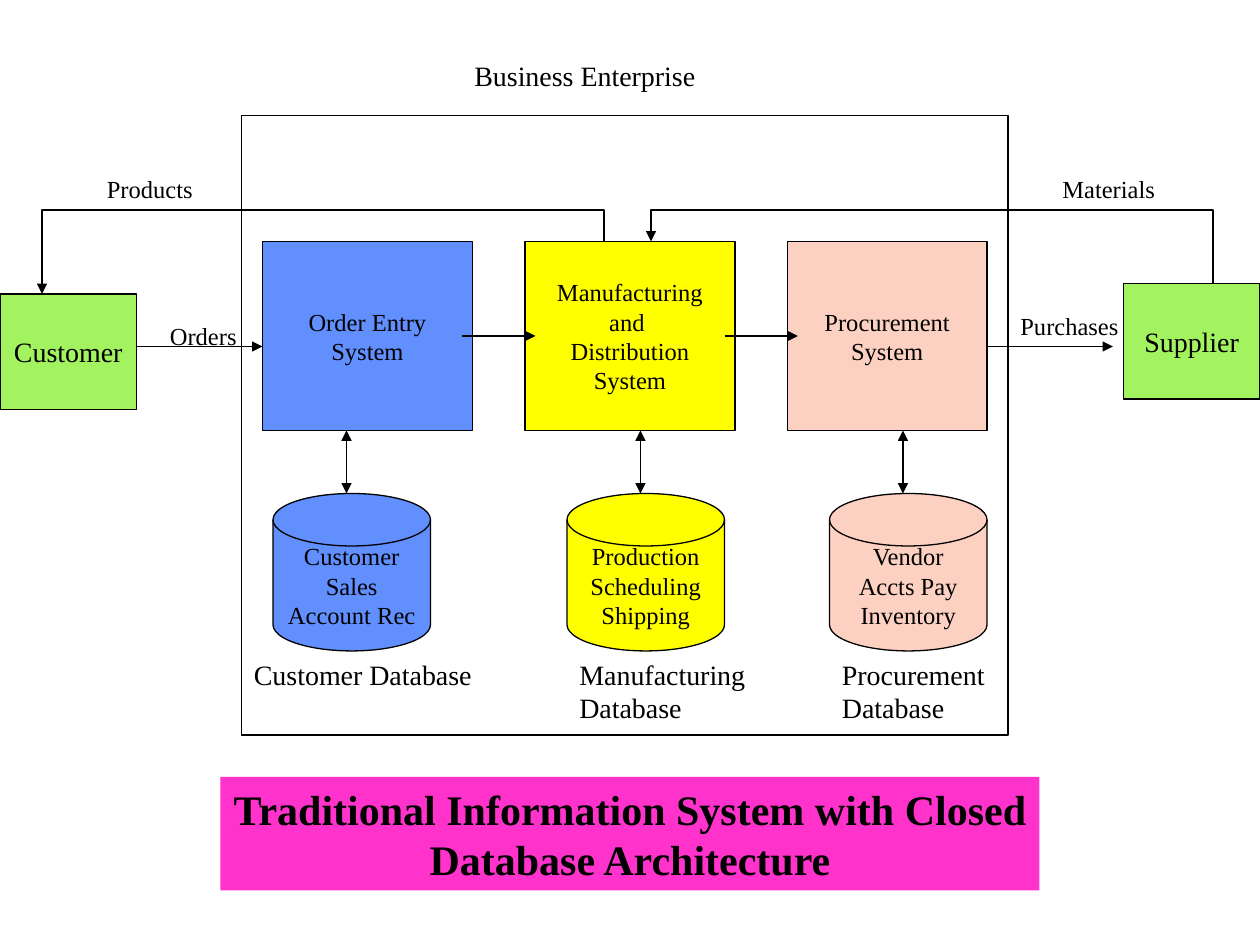
from lxml import etree
from pptx import Presentation
from pptx.dml.color import RGBColor
from pptx.enum.shapes import MSO_CONNECTOR, MSO_SHAPE
from pptx.enum.text import MSO_ANCHOR, PP_ALIGN
from pptx.oxml.ns import qn
from pptx.util import Inches, Pt

RECTANGLE = MSO_SHAPE.RECTANGLE
DISK = MSO_SHAPE.FLOWCHART_MAGNETIC_DISK
STRAIGHT, ELBOW = MSO_CONNECTOR.STRAIGHT, MSO_CONNECTOR.ELBOW
LEFT, CENTER = PP_ALIGN.LEFT, PP_ALIGN.CENTER
TOP, MIDDLE = MSO_ANCHOR.TOP, MSO_ANCHOR.MIDDLE

FONT = "Times New Roman"
BLACK, GREEN, PINK = "000000", "A3F25F", "FF33CC"
CELLS_PER_INCH = 12
SYSTEM_TOP, SYSTEM_HEIGHT = 23, 18
DISK_TOP, DISK_SIZE = 47, 15
FLOW_ROW, RETURN_ROW = 33, 20

ENTERPRISE = (23, 11, 73, 59)
SYSTEMS = [
    {"color": "618FFD", "left": 25, "width": 20, "name": ["Order Entry", "System"],
     "disk_left": 26, "data": ["Customer", "Sales", "Account Rec"],
     "database": "Customer Database", "label_left": 23, "label_width": 26, "link": 33},
    {"color": "FFFF00", "left": 50, "width": 20,
     "name": ["Manufacturing", "and ", "Distribution", "System"],
     "disk_left": 54, "data": ["Production", "Scheduling", "Shipping"],
     "database": "Manufacturing Database", "label_left": 54, "label_width": 25, "link": 61},
    {"color": "FCD1C1", "left": 75, "width": 19, "name": ["Procurement", "System"],
     "disk_left": 79, "data": ["Vendor", "Accts Pay", "Inventory"],
     "database": "Procurement Database", "label_left": 79, "label_width": 20, "link": 86},
]
PARTNERS = [("Customer", (0, 28, 13, 11)), ("Supplier", (107, 27, 13, 11))]
LABELS = [
    ("Business Enterprise", (44, 5, 31, 4.5), 16),
    ("Products", (9, 16, 12, 4), 14),
    ("Orders", (15, 30, 13, 4), 14),
    ("Purchases", (96, 29, 12, 4), 14),
    ("Materials", (100, 16, 12, 4), 14),
]
FLOWS = [(13, FLOW_ROW, 25, FLOW_ROW), (94, FLOW_ROW, 106, FLOW_ROW),
         (44, 32, 51, 32), (69, 32, 76, 32)]
RETURNS = [(57.5, 23, 4, 28), (115.5, 27, 62, 23)]
TITLE = "Traditional Information System with Closed Database Architecture"
TITLE_BOX = (21, 74, 78, 10.8)


def grid(value):
    return Inches(value / CELLS_PER_INCH)


def color(code):
    return RGBColor.from_string(code)


def write(shape, lines, size=14, bold=False, align=CENTER, anchor=MIDDLE, wrap=False):
    frame = shape.text_frame
    frame.word_wrap = wrap
    frame.vertical_anchor = anchor
    for index, line in enumerate(lines):
        paragraph = frame.add_paragraph() if index else frame.paragraphs[0]
        paragraph.text = line
        paragraph.alignment = align
        font = paragraph.font
        font.name, font.size, font.bold = FONT, Pt(size), bold
        font.color.rgb = color(BLACK)


def add_block(slide, kind, box, fill=None, outline=True):
    shape = slide.shapes.add_shape(kind, *map(grid, box))
    shape.shadow.inherit = False
    if fill:
        shape.fill.solid()
        shape.fill.fore_color.rgb = color(fill)
    else:
        shape.fill.background()
    if outline:
        shape.line.color.rgb = color(BLACK)
        shape.line.width = Pt(0.75)
    else:
        shape.line.fill.background()
    return shape


def add_label(slide, text, box, size):
    label = slide.shapes.add_textbox(*map(grid, box))
    write(label, [text], size=size, align=LEFT, anchor=TOP, wrap=True)


def add_arrow(slide, points, kind=STRAIGHT, width=0.75, both=False):
    connector = slide.shapes.add_connector(kind, *map(grid, points))
    connector.line.color.rgb = color(BLACK)
    connector.line.width = Pt(width)
    line = connector.line._get_or_add_ln()
    for end in ("a:headEnd", "a:tailEnd") if both else ("a:tailEnd",):
        etree.SubElement(line, qn(end), type="triangle")
    etree.SubElement(connector._element.spPr, qn("a:effectLst"))
    return connector


def add_return(slide, start_x, start_y, end_x, end_y):
    rise, run = abs(end_y - start_y), abs(end_x - start_x)
    left = (start_x + end_x - rise) / 2
    top = (start_y + end_y - run) / 2
    downward = end_y > start_y
    first, last = (top, top + run) if downward else (top + run, top)
    connector = add_arrow(slide, (left, first, left + rise, last), ELBOW, 1)
    properties = connector._element.spPr
    properties.find(qn("a:xfrm")).set("rot", str((90 if downward else 270) * 60000))
    bend = round((RETURN_ROW - start_y) / (end_y - start_y) * 100000)
    geometry = properties.find(qn("a:prstGeom"))
    adjustments = geometry.find(qn("a:avLst"))
    etree.SubElement(adjustments, qn("a:gd"), name="adj1", fmla=f"val {bend}")


def main():
    presentation = Presentation()
    presentation.slide_width, presentation.slide_height = Inches(10), Inches(7.5)
    slide = presentation.slides.add_slide(presentation.slide_layouts[6])

    add_block(slide, RECTANGLE, ENTERPRISE)
    for system in SYSTEMS:
        box = (system["left"], SYSTEM_TOP, system["width"], SYSTEM_HEIGHT)
        write(add_block(slide, RECTANGLE, box, system["color"]), system["name"])
        box = (system["disk_left"], DISK_TOP, DISK_SIZE, DISK_SIZE)
        write(add_block(slide, DISK, box, system["color"]), system["data"])
        box = (system["label_left"], DISK_TOP + DISK_SIZE, system["label_width"], 7.7)
        add_label(slide, system["database"], box, 16)
        link = system["link"]
        add_arrow(slide, (link, SYSTEM_TOP + SYSTEM_HEIGHT, link, DISK_TOP), both=True)

    for name, box in PARTNERS:
        write(add_block(slide, RECTANGLE, box, GREEN), [name], size=16)
    for points in FLOWS:
        add_arrow(slide, points)
    for points in RETURNS:
        add_return(slide, *points)
    for text, box, size in LABELS:
        add_label(slide, text, box, size)

    banner = add_block(slide, RECTANGLE, TITLE_BOX, PINK, outline=False)
    write(banner, [TITLE], size=24, bold=True, anchor=TOP, wrap=True)
    presentation.save("out.pptx")


if __name__ == "__main__":
    main()
